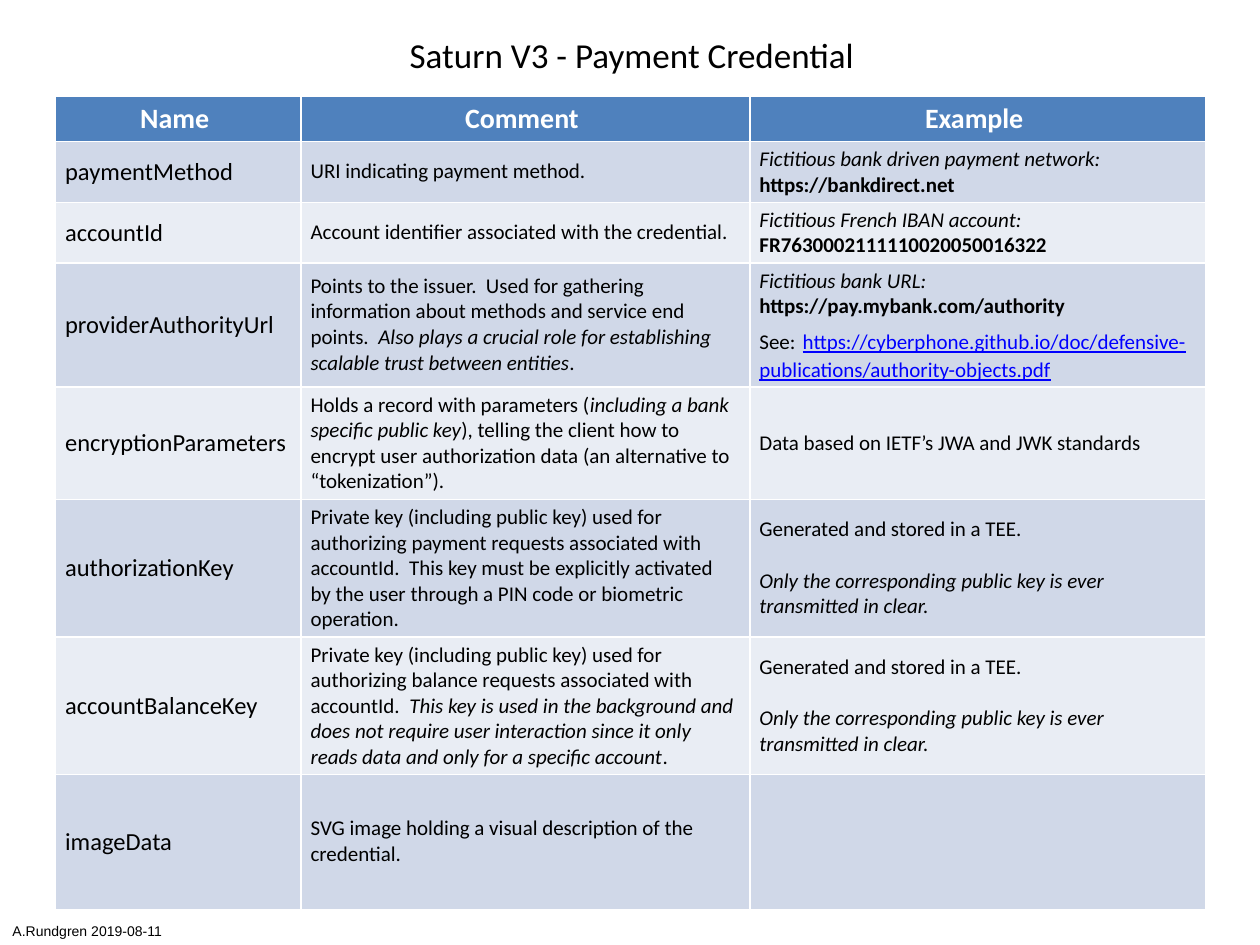
"""Build the payment credential slide with its table of properties."""
import pptx
import pptx.dml.color
import pptx.enum.text
import pptx.util

Pt = pptx.util.Pt
ANCHOR = pptx.enum.text.MSO_ANCHOR
ALIGN = pptx.enum.text.PP_ALIGN
AUTO_SIZE = pptx.enum.text.MSO_AUTO_SIZE

COLORS = {
    "header": "4F81BD",
    "odd": "D0D8E8",
    "even": "E9EDF4",
    "black": "000000",
    "white": "FFFFFF",
    "link": "0000FF",
}
TITLE = "Saturn V3 - Payment Credential"
CREDIT = "A.Rundgren 2019-08-11"
HEADERS = ["Name", "Comment", "Example"]
KEY_EXAMPLE = [
    [("Generated and stored in a TEE.", "plain")],
    [("Only the corresponding public key is ever transmitted in clear.", "italic")],
]
ROWS = [
    ("paymentMethod",
     [[("URI indicating payment method.", "plain")]],
     [[("Fictitious bank driven payment network:", "italic")],
      [("https://bankdirect.net", "bold")]]),
    ("accountId",
     [[("Account identifier associated with the credential.", "plain")]],
     [[("Fictitious French IBAN account:", "italic")],
      [("FR7630002111110020050016322", "bold")]]),
    ("providerAuthorityUrl",
     [[("Points to the issuer.  Used for gathering information about methods "
        "and service end points.  ", "plain"),
       ("Also plays a crucial role for establishing scalable trust between entities", "italic"),
       (".", "plain")]],
     [[("Fictitious bank URL:", "italic")],
      [("https://pay.mybank.com/authority", "bold")],
      [("See:", "plain"), (" ", "gap"),
       ("https://cyberphone.github.io/doc/defensive-publications/authority-objects.pdf", "link")]]),
    ("encryptionParameters",
     [[("Holds a record with parameters (", "plain"),
       ("including a bank specific public key", "italic"),
       ("), telling the client how to encrypt user authorization data "
        "(an alternative to", "plain")],
      [("“tokenization”).", "plain")]],
     [[("Data based on IETF’s JWA and JWK standards", "plain")]]),
    ("authorizationKey",
     [[("Private key (including public key) used for authorizing payment requests "
        "associated with accountId.  This key must be explicitly activated by the user "
        "through a PIN code or biometric operation.", "plain")]],
     KEY_EXAMPLE),
    ("accountBalanceKey",
     [[("Private key (including public key) used for authorizing balance requests "
        "associated with accountId.  ", "plain"),
       ("This key is used in the background and does not require user interaction since "
        "it only reads data and only for a specific account", "italic"),
       (".", "plain")]],
     KEY_EXAMPLE),
    ("imageData",
     [[("SVG image holding a visual description of the credential.", "plain")]],
     []),
]
COLUMN_WIDTHS = [140.3, 256.5, 260.5]
ROW_HEIGHTS = [25.5, 34.5, 34.5, 70.2, 64, 78.4, 78.4, 77.4]
HEADER_MARGINS = (3, 3, 7.2, 3.6)
COLUMN_MARGINS = [(5.4, 3, 3, 3), (5.4, 3, 7.2, 3.6), (5.4, 3, 7.2, 3)]
BLANK_LINE = 14.6


def rgb(name):
    return pptx.dml.color.RGBColor.from_string(COLORS[name])


def format_font(font, size, color="black", name="Calibri"):
    font.name = name
    font.size = Pt(size)
    font.color.rgb = rgb(color)


def format_cell(cell, fill, margins):
    cell.fill.solid()
    cell.fill.fore_color.rgb = rgb(fill)
    cell.vertical_anchor = ANCHOR.MIDDLE
    (cell.margin_left, cell.margin_top,
     cell.margin_right, cell.margin_bottom) = [Pt(margin) for margin in margins]


def write_label(text_frame, text, size, **font_options):
    text_frame.text = text
    paragraph = text_frame.paragraphs[0]
    format_font(paragraph.runs[0].font, size, **font_options)
    return paragraph


def write_paragraphs(text_frame, paragraphs):
    for index, segments in enumerate(paragraphs):
        paragraph = text_frame.add_paragraph() if index else text_frame.paragraphs[0]
        if index and paragraphs is KEY_EXAMPLE:
            paragraph.space_before = Pt(BLANK_LINE)
        for text, style in segments:
            run = paragraph.add_run()
            run.text = text
            format_font(run.font, 18 if style == "gap" else 12,
                        "link" if style == "link" else "black")
            run.font.italic = style == "italic"
            run.font.bold = style == "bold"
            run.font.underline = style == "link"


def add_title(slide):
    title = slide.shapes.title
    title.left, title.top, title.width, title.height = Pt(225.4), Pt(15.1), Pt(271.4), Pt(31.5)
    title.text_frame.word_wrap = False
    title.text_frame.auto_size = AUTO_SIZE.SHAPE_TO_FIT_TEXT
    write_label(title.text_frame, TITLE, 20).alignment = ALIGN.CENTER


def add_credential_table(slide):
    table = slide.shapes.add_table(
        len(ROWS) + 1, len(HEADERS), Pt(31.8), Pt(55),
        Pt(sum(COLUMN_WIDTHS)), Pt(sum(ROW_HEIGHTS))).table
    for column, width in zip(table.columns, COLUMN_WIDTHS):
        column.width = Pt(width)
    for row, height in zip(table.rows, ROW_HEIGHTS):
        row.height = Pt(height)
    for column_index, header in enumerate(HEADERS):
        cell = table.cell(0, column_index)
        format_cell(cell, "header", HEADER_MARGINS)
        paragraph = write_label(cell.text_frame, header, 16, color="white")
        paragraph.alignment = ALIGN.CENTER
        paragraph.runs[0].font.bold = True
    for row_index, (name, comment, example) in enumerate(ROWS, 1):
        for column_index, margins in enumerate(COLUMN_MARGINS):
            format_cell(table.cell(row_index, column_index),
                        "odd" if row_index % 2 else "even", margins)
        write_label(table.cell(row_index, 0).text_frame, name, 14)
        write_paragraphs(table.cell(row_index, 1).text_frame, comment)
        write_paragraphs(table.cell(row_index, 2).text_frame, example)


def add_credit(slide):
    text_frame = slide.shapes.add_textbox(Pt(0), Pt(523.4), Pt(102.2), Pt(17)).text_frame
    text_frame.word_wrap = False
    text_frame.auto_size = AUTO_SIZE.SHAPE_TO_FIT_TEXT
    write_label(text_frame, CREDIT, 8, name="Arial")


def main():
    presentation = pptx.Presentation()
    presentation.slide_width, presentation.slide_height = Pt(720), Pt(540)
    slide = presentation.slides.add_slide(presentation.slide_layouts[5])
    add_title(slide)
    add_credential_table(slide)
    add_credit(slide)
    presentation.save("out.pptx")


if __name__ == "__main__":
    main()
